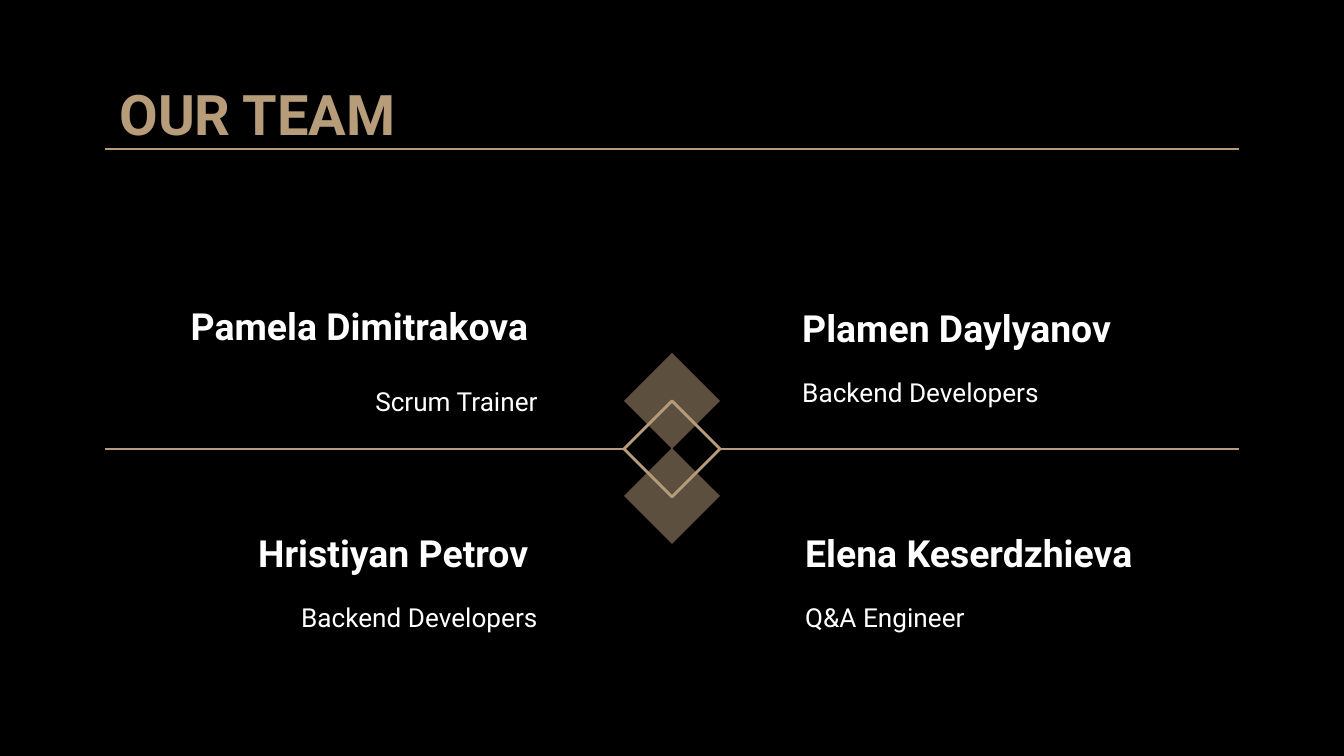
from lxml import etree
from pptx import Presentation
from pptx import util as u
from pptx.dml.color import RGBColor
from pptx.enum import shapes, text
from pptx.oxml.ns import qn

SCALE = 914400 / 134.4
GOLD = RGBColor(0xB7, 0x9C, 0x79)
WHITE = RGBColor(0xFF, 0xFF, 0xFF)
BLACK = RGBColor(0x00, 0x00, 0x00)
FONT = "Roboto"
LEFT, RIGHT = text.PP_ALIGN.LEFT, text.PP_ALIGN.RIGHT
TOP, BOTTOM = text.MSO_ANCHOR.TOP, text.MSO_ANCHOR.BOTTOM
RULE_LEFT, RULE_RIGHT = 105, 1239
DIAMOND_LEFT, DIAMOND_SIZE = 624, 96

TEAM = [
    ("Pamela Dimitrakova ", "Scrum Trainer", RIGHT, 105, 314, 47, 372),
    ("Plamen Daylyanov", "Backend Developers", LEFT, 789, 305, 58, 363),
    ("Hristiyan Petrov ", "Backend Developers", RIGHT, 105, 530, 58, 588),
    ("Elena Keserdzhieva", "Q&A Engineer", LEFT, 792, 530, 58, 588),
]


def px(length):
    return u.Emu(round(length * SCALE))


def write(box, wording, size, color, bold=False, align=LEFT, anchor=TOP):
    frame = box.text_frame
    frame.word_wrap = True
    frame.auto_size = text.MSO_AUTO_SIZE.NONE
    frame.vertical_anchor = anchor
    frame.margin_left = frame.margin_right = u.Inches(0.1)
    frame.margin_top = frame.margin_bottom = u.Inches(0.1)
    frame.text = wording
    paragraph = frame.paragraphs[0]
    paragraph.alignment = align
    paragraph.font.name = FONT
    paragraph.font.size = u.Pt(size)
    paragraph.font.bold = bold
    paragraph.font.color.rgb = color


def add_title(slide, wording):
    title = slide.shapes.title
    title.left, title.top, title.width, title.height = map(px, (106, 66, 1133, 85))
    write(title, wording, 30, GOLD, bold=True)


def add_member(slide, name, role, align, left, name_top, name_height, role_top):
    name_box = slide.shapes.add_textbox(*map(px, (left, name_top, 446, name_height)))
    write(name_box, name, 20, WHITE, bold=True, align=align, anchor=BOTTOM)
    role_box = slide.shapes.add_textbox(*map(px, (left, role_top, 446, 77)))
    write(role_box, role, 14, WHITE, align=align)


def add_diamond(slide, top, filled):
    diamond = slide.shapes.add_shape(
        shapes.MSO_SHAPE.DIAMOND,
        *map(px, (DIAMOND_LEFT, top, DIAMOND_SIZE, DIAMOND_SIZE)))
    diamond.shadow.inherit = False
    if filled:
        diamond.fill.solid()
        diamond.fill.fore_color.rgb = GOLD
        color = diamond._element.spPr.find(qn("a:solidFill"))[0]
        etree.SubElement(color, qn("a:alpha"), val="51000")
        diamond.line.fill.background()
    else:
        diamond.fill.background()
        diamond.line.color.rgb = GOLD
        diamond.line.width = u.Pt(1.5)
    return diamond


def add_rule(slide, start, end, y):
    rule = slide.shapes.add_connector(
        shapes.MSO_CONNECTOR.STRAIGHT, px(start), px(y), px(end), px(y))
    rule.line.color.rgb = GOLD
    rule.line.width = u.Pt(1.5)
    etree.SubElement(rule._element.spPr, qn("a:effectLst"))
    return rule


def main():
    deck = Presentation()
    deck.slide_width, deck.slide_height = px(1344), px(756)
    slide = deck.slides.add_slide(deck.slide_layouts[5])
    slide.background.fill.solid()
    slide.background.fill.fore_color.rgb = BLACK

    add_title(slide, "OUR TEAM")
    for member in TEAM:
        add_member(slide, *member)

    add_diamond(slide, 353, filled=True)
    center = add_diamond(slide, 401, filled=False)
    middle = 401 + DIAMOND_SIZE // 2
    left_rule = add_rule(slide, RULE_LEFT, DIAMOND_LEFT, middle)
    left_rule.end_connect(center, 1)
    right_rule = add_rule(slide, DIAMOND_LEFT + DIAMOND_SIZE, RULE_RIGHT, middle)
    right_rule.begin_connect(center, 3)
    add_diamond(slide, 448, filled=True)
    add_rule(slide, RULE_LEFT, RULE_RIGHT, 149)

    deck.save("out.pptx")


if __name__ == "__main__":
    main()
